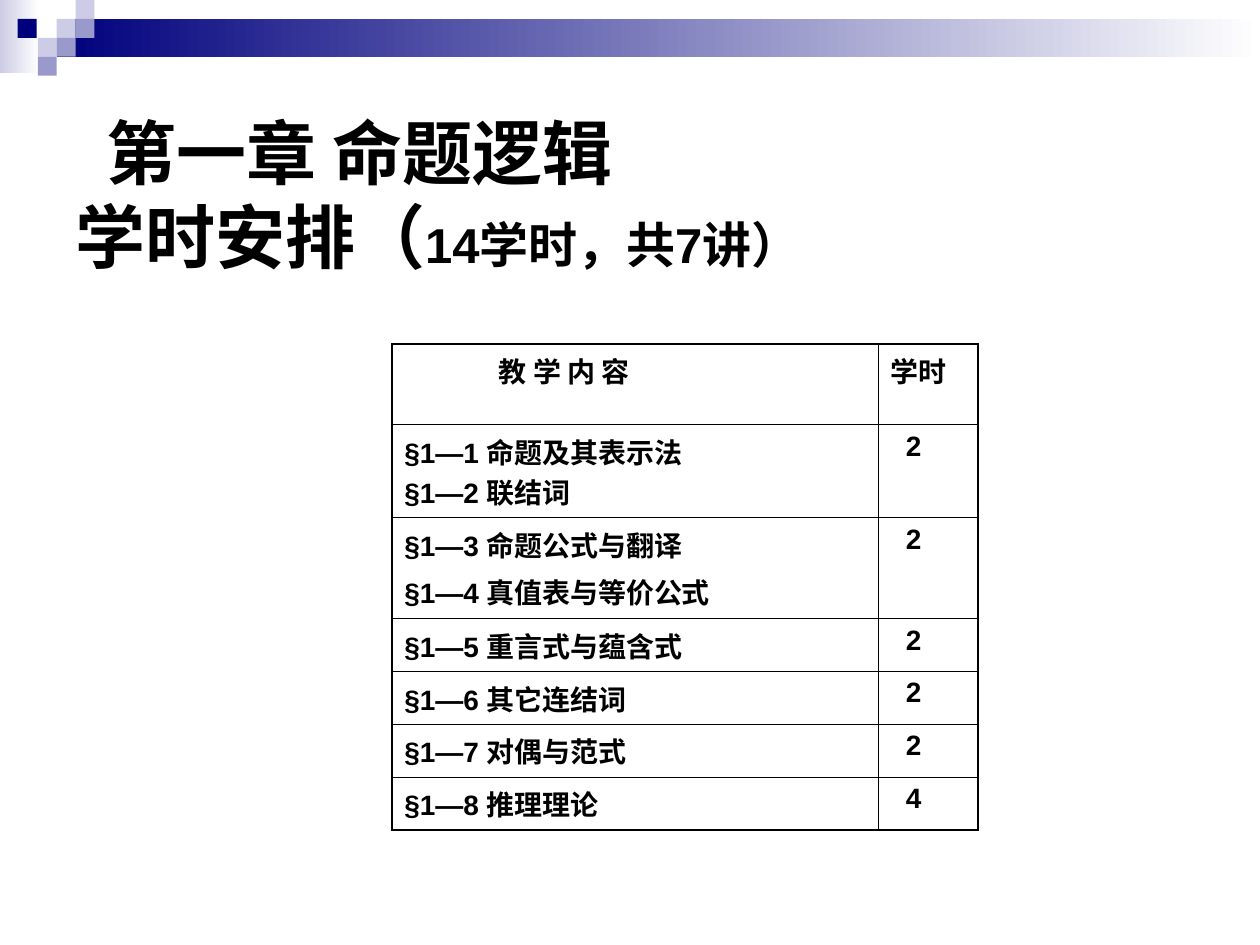
from typing import NamedTuple

from lxml.etree import SubElement
from pptx import Presentation
from pptx.dml.color import RGBColor
from pptx.enum.shapes import MSO_SHAPE as Shape
from pptx.enum.text import MSO_ANCHOR as Anchor
from pptx.oxml.ns import qn
from pptx.util import Inches, Pt

BLACK = RGBColor(0x00, 0x00, 0x00)
WHITE = RGBColor(0xFF, 0xFF, 0xFF)
NAVY = RGBColor(0x00, 0x00, 0x7D)
LAVENDER = RGBColor(0xCC, 0xCC, 0xE6)
PERIWINKLE = RGBColor(0x99, 0x99, 0xCC)
FONT = "Arial"
OUTER_LINE = Pt(1.08)
INNER_LINE = Pt(0.45)
SQUARE = 0.15


class Block(NamedTuple):
    left: float
    top: float
    width: float
    height: float
    color: RGBColor
    fades: bool = False


class Lesson(NamedTuple):
    content: str
    hours: str
    height: float = 0.42


BANDS = [
    Block(0, 0, 0.31, 0.58, LAVENDER, True),
    Block(0.45, 0.15, 9.55, 0.3, NAVY, True),
]
SQUARES = [
    Block(left, top, SQUARE, SQUARE, color)
    for left, top, color in [
        (0.45, 0.15, LAVENDER),
        (0.6, 0, LAVENDER),
        (0.6, 0.15, PERIWINKLE),
        (0.3, 0.3, LAVENDER),
        (0.14, 0.15, NAVY),
        (0.45, 0.3, PERIWINKLE),
        (0.3, 0.45, PERIWINKLE),
    ]
]
LESSONS = [
    Lesson("教 学 内 容", "学时", 0.64),
    Lesson("§1—1 命题及其表示法\v§1—2 联结词", "2", 0.74),
    Lesson("§1—3 命题公式与翻译\n§1—4 真值表与等价公式", "2", 0.8),
    Lesson("§1—5 重言式与蕴含式", "2"),
    Lesson("§1—6 其它连结词", "2"),
    Lesson("§1—7 对偶与范式", "2"),
    Lesson("§1—8 推理理论", "4"),
]
COLUMN_WIDTHS = [3.86, 0.79]
HEADER_INDENT = 0.75
HOURS_INDENT = 0.12


def draw_block(slide, block: Block) -> None:
    shape = slide.shapes.add_shape(
        Shape.RECTANGLE, Inches(block.left), Inches(block.top),
        Inches(block.width), Inches(block.height))
    shape.shadow.inherit = False
    shape.line.fill.background()
    if block.fades:
        shape.fill.gradient()
        shape.fill.gradient_angle = 180
        for stop, color in zip(shape.fill.gradient_stops, (WHITE, block.color)):
            stop.color.rgb = color
    else:
        shape.fill.solid()
        shape.fill.fore_color.rgb = block.color


def format_runs(paragraph, size: float) -> None:
    for run in paragraph.runs:
        run.font.name = FONT
        run.font.size = Pt(size)
        run.font.bold = True
        run.font.color.rgb = BLACK


def indent_first_line(paragraph, indent: float) -> None:
    paragraph._p.get_or_add_pPr().set("indent", str(Inches(indent)))


def draw_title(slide) -> None:
    box = slide.shapes.add_textbox(Inches(0.5), Inches(0.5), Inches(8.99), Inches(2.07))
    text_frame = box.text_frame
    text_frame.word_wrap = True
    text_frame.vertical_anchor = Anchor.MIDDLE
    text_frame.text = "第一章 命题逻辑\v学时安排（"
    paragraph = text_frame.paragraphs[0]
    indent_first_line(paragraph, 0.25)
    detail = paragraph.add_run()
    detail.text = "14学时，共7讲）"
    format_runs(paragraph, 40)
    detail.font.size = Pt(28)


def set_borders(cell, widths: dict[str, int]) -> None:
    properties = cell._tc.get_or_add_tcPr()
    for position, (side, width) in enumerate(widths.items()):
        line = SubElement(properties, qn(f"a:{side}"), w=str(width))
        fill = SubElement(line, qn("a:solidFill"))
        SubElement(fill, qn("a:srgbClr"), val=str(BLACK))
        properties.insert(position, line)


def fill_cell(cell, text: str, indent: float) -> None:
    cell.fill.background()
    cell.margin_left = cell.margin_right = Inches(0.1)
    cell.margin_top = cell.margin_bottom = Inches(0.05)
    cell.text_frame.text = text
    for number, paragraph in enumerate(cell.text_frame.paragraphs):
        if indent:
            indent_first_line(paragraph, indent)
        if number:
            paragraph.space_before = Pt(4)
        format_runs(paragraph, 16)


def draw_schedule(slide) -> None:
    last_row, last_column = len(LESSONS) - 1, len(COLUMN_WIDTHS) - 1
    table = slide.shapes.add_table(
        len(LESSONS), len(COLUMN_WIDTHS), Inches(3.11), Inches(2.73),
        Inches(sum(COLUMN_WIDTHS)), Inches(sum(lesson.height for lesson in LESSONS))).table
    table.first_row = table.horz_banding = False
    for column, width in zip(table.columns, COLUMN_WIDTHS):
        column.width = Inches(width)
    for row, lesson in enumerate(LESSONS):
        table.rows[row].height = Inches(lesson.height)
        indents = (0, HOURS_INDENT) if row else (HEADER_INDENT, 0)
        for column, text in enumerate((lesson.content, lesson.hours)):
            cell = table.cell(row, column)
            fill_cell(cell, text, indents[column])
            outer_sides = {
                "lnL": column == 0,
                "lnR": column == last_column,
                "lnT": row == 0,
                "lnB": row == last_row,
            }
            set_borders(cell, {side: OUTER_LINE if outer else INNER_LINE
                               for side, outer in outer_sides.items()})


def main() -> None:
    presentation = Presentation()
    presentation.slide_width = Inches(10)
    presentation.slide_height = Inches(7.5)
    slide = presentation.slides.add_slide(presentation.slide_layouts[6])
    for block in BANDS + SQUARES:
        draw_block(slide, block)
    draw_title(slide)
    draw_schedule(slide)
    presentation.save("out.pptx")


if __name__ == "__main__":
    main()
